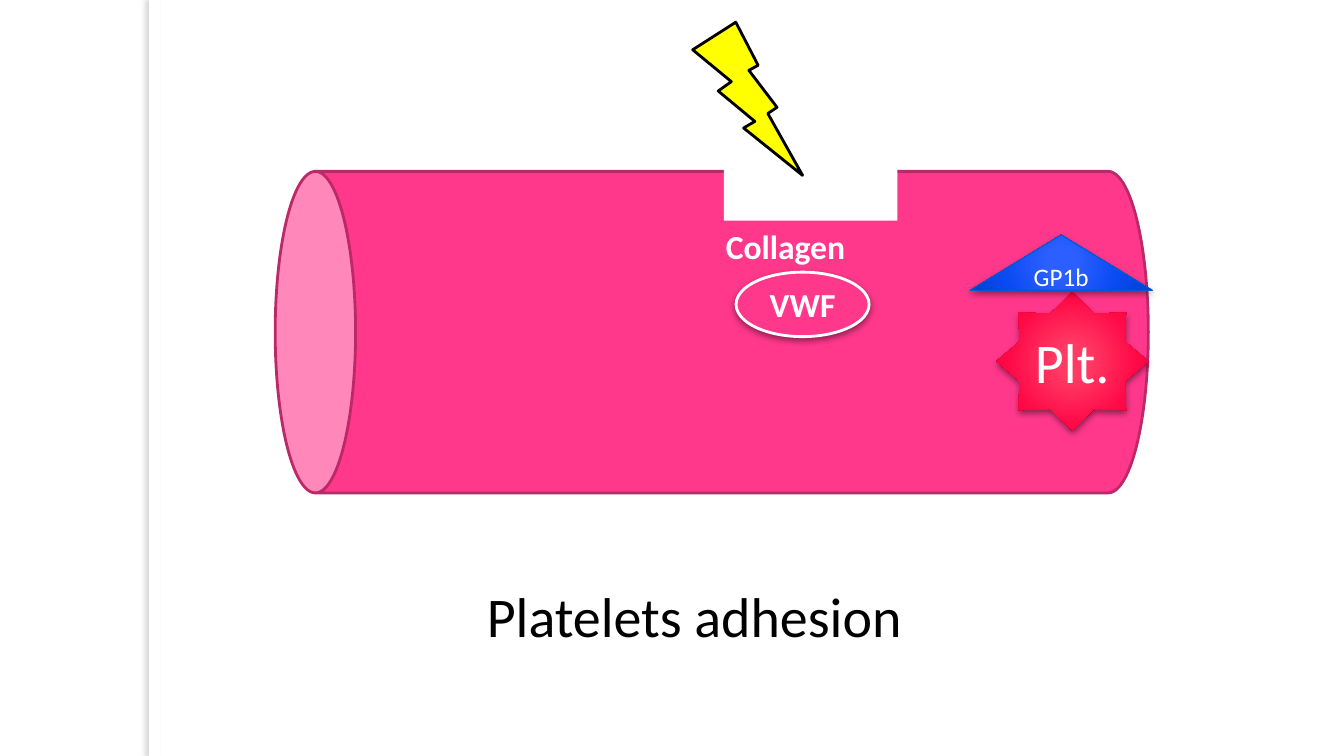
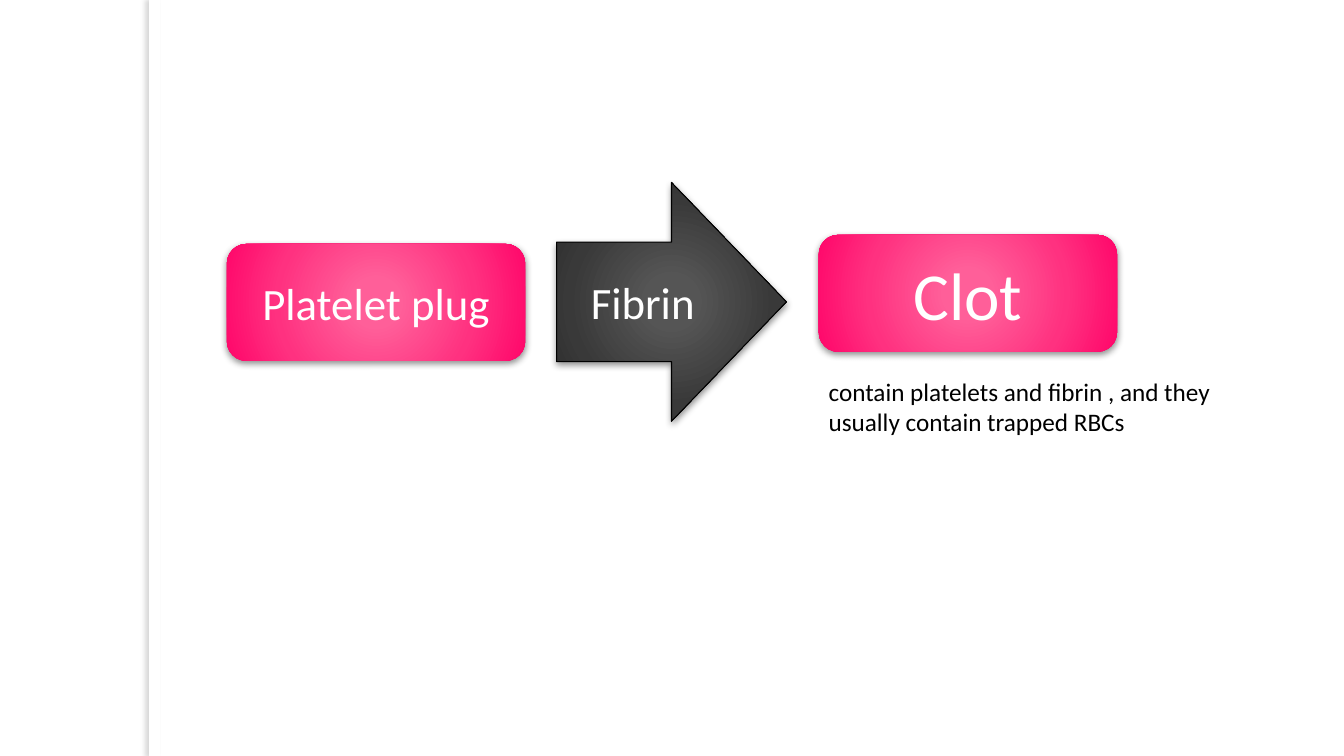
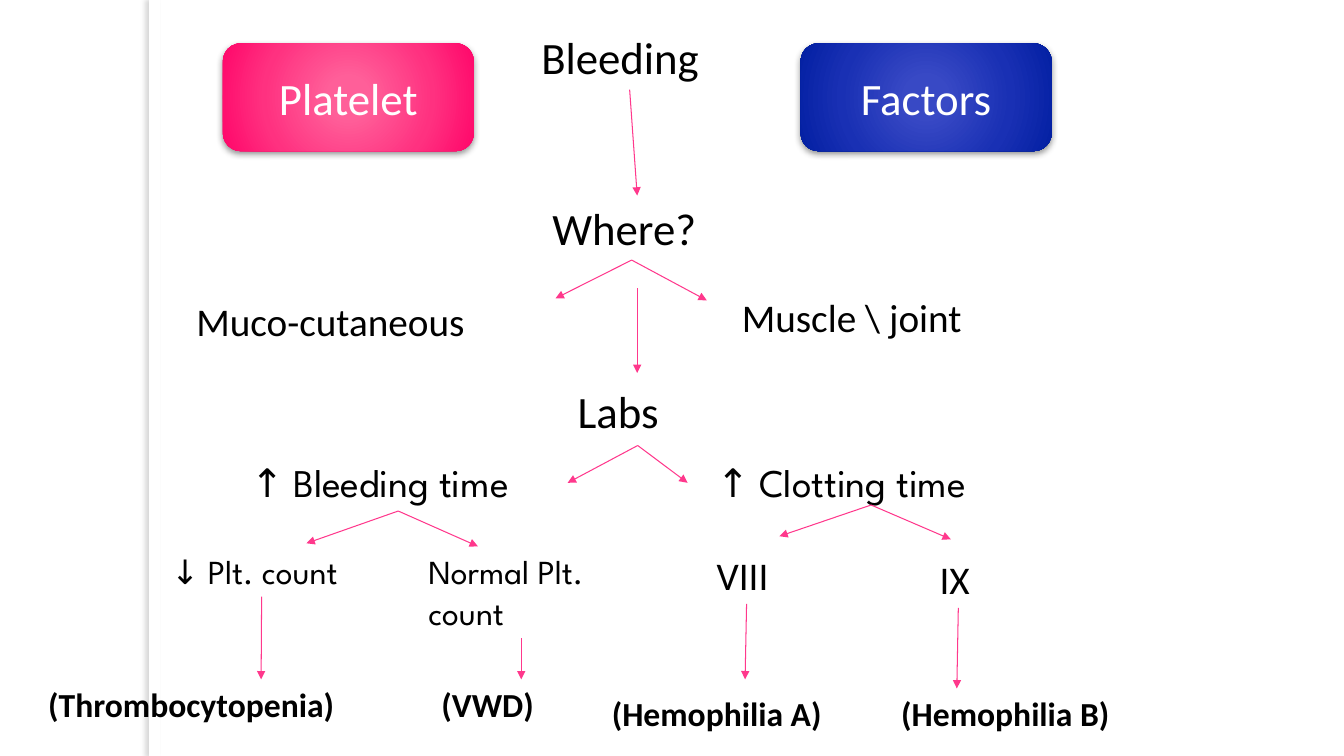
import pptx
import pptx.dml.color
import pptx.enum.shapes
import pptx.enum.text
import pptx.oxml.ns
import pptx.util
from lxml import etree

Inches = pptx.util.Inches
Kind = pptx.enum.shapes.MSO_SHAPE
Align = pptx.enum.text.PP_ALIGN
Anchor = pptx.enum.text.MSO_ANCHOR
qn = pptx.oxml.ns.qn

WHITE, BLACK, PINK = "FFFFFF", "000000", "FF388C"
BODY_FONT, LAB_FONT = "Calibri", "League Spartan"
STOPS = (0, 15, 62, 97, 100)
PINK_GLOW = ("FF619A", "FF5F99", "FF3180", "FF0A6C", "FD006B")
RED_GLOW = ("FF3C65", "FF3B64", "FF0A46", "E1003E", "B90048")
BLUE_GLOW = ("2D60FF", "2C5FFF", "094AF1", "0042D3", "004AAB")
NAVY_GLOW = ("3849C6", "3849C5", "1930B4", "0521A4", "002A80")
GRAY_GLOW = ("555555", "555555", "393939", "262626", "000000")
SOFT_SHADOW = (BLACK, 43, 5, 2, 90)
STRIP_SHADOW = ("686868", 25, 3, 3, 180)


def paint(target, color):
    """Give a fill or a font one solid colour from a hex string."""
    if hasattr(target, "solid"):
        target.solid()
        target = target.fore_color
    else:
        target = target.color
    target.rgb = pptx.dml.color.RGBColor.from_string(color)


def child(parent, tag, **attributes):
    """Append an XML element with the given attributes."""
    values = {name: str(value) for name, value in attributes.items()}
    return etree.SubElement(parent, qn(tag), values)


def glow(shape, colors):
    """Fill a shape with a gradient that spreads from its centre."""
    shape.fill.gradient()
    gradient = shape.element.spPr.find(qn("a:gradFill"))
    gradient.clear()
    gradient.set("rotWithShape", "1")
    stops = child(gradient, "a:gsLst")
    for position, color in zip(STOPS, colors):
        stop = child(stops, "a:gs", pos=position * 1000)
        child(stop, "a:srgbClr", val=color)
    circle = child(gradient, "a:path", path="circle")
    child(circle, "a:fillToRect", l=50000, t=50000, r=50000, b=50000)


def cast_shadow(shape, color, alpha, blur, distance, angle):
    """Give a shape an outer shadow."""
    effects = shape.element.spPr.find(qn("a:effectLst"))
    outer = child(effects, "a:outerShdw", blurRad=pptx.util.Pt(blur),
                  dist=pptx.util.Pt(distance), dir=angle * 60000,
                  algn="ctr", rotWithShape=0)
    tone = child(outer, "a:srgbClr", val=color)
    child(tone, "a:alpha", val=alpha * 1000)


def write(box, text, size=32, color=BLACK, bold=False, font=BODY_FONT, align=Align.LEFT):
    """Write text into a box, one paragraph for each line."""
    frame = box.text_frame
    frame.word_wrap = True
    frame.auto_size = pptx.enum.text.MSO_AUTO_SIZE.NONE
    for index, line in enumerate(text.split("\n")):
        para = frame.add_paragraph() if index else frame.paragraphs[0]
        para.alignment = align
        span = para.add_run()
        span.text = line
        span.font.size = pptx.util.Pt(size)
        span.font.bold = bold
        span.font.name = font
        paint(span.font, color)


def add_label(page, left, top, width, height, text, **style):
    """Add a text box."""
    box = page.shapes.add_textbox(*map(Inches, (left, top, width, height)))
    write(box, text, **style)
    return box


def add_figure(page, kind, left, top, width, height, fill, line=None, weight=2,
               shadow=None, text=None, **style):
    """Add a preset shape with a solid or glowing fill and centred text."""
    shape = page.shapes.add_shape(kind, *map(Inches, (left, top, width, height)))
    shape.shadow.inherit = False
    if isinstance(fill, tuple):
        glow(shape, fill)
    else:
        paint(shape.fill, fill)
    if line:
        paint(shape.line.fill, line)
        shape.line.width = pptx.util.Pt(weight)
    else:
        shape.line.fill.background()
    if shadow:
        cast_shadow(shape, *shadow)
    if text:
        shape.text_frame.vertical_anchor = Anchor.MIDDLE
        write(shape, text, color=WHITE, align=Align.CENTER, **style)
    return shape


def add_arrow(page, start, end, source=None):
    """Draw a thin pink arrow, joined to the bottom of a source box if given."""
    arrow = page.shapes.add_connector(
        pptx.enum.shapes.MSO_CONNECTOR.STRAIGHT, *map(Inches, (*start, *end)))
    if source is not None:
        arrow.begin_connect(source, 2)
    paint(arrow.line.fill, PINK)
    arrow.line.width = pptx.util.Pt(0.75)
    child(arrow.line._get_or_add_ln(), "a:tailEnd", type="triangle")
    child(arrow.element.spPr, "a:effectLst")


def add_strip(page, layout):
    """Place the shadowed strip on the layout so that all pages show it."""
    strip = add_figure(page, Kind.RECTANGLE, 1.48, 0, 0.11, 7.5, WHITE, shadow=STRIP_SHADOW)
    strip.element.nvSpPr.cNvPr.set("id", "20")
    layout.shapes.element.append(strip.element)


def draw_vessel(page, left, top, length, girth):
    """Draw a lying vessel with a damaged wall and the exposed collagen."""
    can = add_figure(page, Kind.CAN, left + (length - girth) / 2, top - (length - girth) / 2,
                     girth, length, PINK, line="BD2968")
    can.rotation = 270
    add_figure(page, Kind.RECTANGLE, left + 4.45, top - 0.27, 1.72, 0.76, WHITE)
    add_label(page, left + 4.37, top + 0.49, 1.62, 0.5, "Collagen",
              size=24, color=WHITE, bold=True)
    add_figure(page, Kind.OVAL, left + 4.57, top + 1, 1.32, 0.64, PINK, line=WHITE,
               shadow=SOFT_SHADOW, text="VWF", size=24, bold=True)
    add_figure(page, Kind.LIGHTNING_BOLT, left + 4.14, top - 1.48, 1.09, 1.52,
               "FFFF00", line=BLACK)


def draw_platelet(page, left, top):
    """Draw a platelet under its receptor."""
    add_figure(page, Kind.STAR_8_POINT, left + 0.26, top + 0.57, 1.51, 1.37, RED_GLOW,
               shadow=SOFT_SHADOW, text="Plt.", size=40)
    add_figure(page, Kind.ISOSCELES_TRIANGLE, left, top, 1.81, 0.55, BLUE_GLOW,
               line="005BD3", weight=0.75, shadow=SOFT_SHADOW, text="GP1b", size=18)


def add_card(page, left, top, width, height, text, fill=PINK_GLOW, size=32):
    """Add a rounded glowing card."""
    add_figure(page, Kind.ROUNDED_RECTANGLE, left, top, width, height, fill,
               shadow=SOFT_SHADOW, text=text, size=size)


def draw_clotting(page, left, top):
    """Show how fibrin turns a platelet plug into a clot."""
    add_card(page, left, top + 0.61, 2.96, 1.16, "Platelet plug")
    add_figure(page, Kind.RIGHT_ARROW, left + 3.27, top, 2.28, 2.37, GRAY_GLOW,
               line=BLACK, weight=0.75, shadow=SOFT_SHADOW, text="Fibrin")
    add_card(page, left + 5.87, top + 0.52, 2.96, 1.16, "Clot", size=48)
    add_label(page, left + 5.87, top + 1.87, 4.16, 0.71,
              "contain platelets and fibrin , and they usually contain trapped RBCs", size=18)


def draw_tree(page, left, top):
    """Draw the decision tree from bleeding to diagnosis."""
    question = dict(size=32)
    site = dict(size=28)
    test = dict(size=28, font=LAB_FONT)
    count = dict(size=24, font=LAB_FONT)
    diagnosis = dict(size=24, bold=True)
    nodes = (
        ("Bleeding", 4.89, 0, 1.95, 0.64, question),
        ("Where?", 5, 1.69, 1.77, 0.64, question),
        ("Muco-cutaneous", 1.47, 2.65, 3.11, 0.57, site),
        ("Muscle \\ joint", 6.88, 2.61, 2.61, 0.57, site),
        ("Labs", 5.25, 3.51, 1.39, 0.66, question),
        ("↑ Bleeding time", 2.01, 4.25, 3.12, 0.57, test),
        ("↑ Clotting time", 6.63, 4.25, 2.96, 0.57, test),
        ("↓ Plt. count", 1.22, 5.17, 1.99, 0.5, count),
        ("Normal Plt.\ncount", 3.77, 5.17, 2.04, 0.91, count),
        ("VIII", 6.63, 5.17, 0.79, 0.57, site),
        ("IX", 8.84, 5.21, 0.57, 0.57, site),
        ("(Thrombocytopenia)", 0, 6.49, 3.45, 0.5, diagnosis),
        ("(VWD)", 3.9, 6.49, 1.21, 0.5, diagnosis),
        ("(Hemophilia A)", 5.59, 6.58, 2.56, 0.5, diagnosis),
        ("(Hemophilia B)", 8.46, 6.58, 2.58, 0.5, diagnosis),
    )
    boxes = {text: add_label(page, left + x, top + y, width, height, text, **style)
             for text, x, y, width, height, style in nodes}
    joined = (
        ("Bleeding", 5.94, 1.69),
        ("Where?", 5.13, 2.71),
        ("Where?", 6.63, 2.73),
        ("Labs", 5.25, 4.54),
        ("Labs", 6.44, 4.54),
        ("↑ Bleeding time", 2.66, 5.14),
        ("↑ Bleeding time", 4.36, 5.17),
        ("↓ Plt. count", 2.21, 6.49),
        ("Normal Plt.\ncount", 4.79, 6.49),
        ("VIII", 7.01, 6.49),
        ("IX", 9.11, 6.58),
    )
    for name, x, y in joined:
        add_arrow(page, (left, top), (left + x, top + y), boxes[name])
    loose = (
        ((5.94, 2.61), (5.94, 3.45)),
        ((8.26, 4.76), (7.35, 5.07)),
        ((8.26, 4.76), (9.05, 5.1)),
    )
    for (x1, y1), (x2, y2) in loose:
        add_arrow(page, (left + x1, top + y1), (left + x2, top + y2))


def main():
    """Build the three slides and save the deck."""
    deck = pptx.Presentation()
    deck.slide_width, deck.slide_height = Inches(13.33), Inches(7.5)
    layout = deck.slide_layouts[6]
    adhesion, clotting, bleeding = (deck.slides.add_slide(layout) for _ in range(3))
    add_strip(adhesion, layout)

    draw_vessel(adhesion, 2.73, 1.7, 8.66, 3.19)
    draw_platelet(adhesion, 9.62, 2.33)
    add_label(adhesion, 4.73, 5.72, 4.79, 0.77, "Platelets adhesion", size=40)

    draw_clotting(clotting, 2.25, 1.81)

    add_card(bleeding, 2.21, 0.43, 2.49, 1.07, "Platelet")
    add_card(bleeding, 7.94, 0.43, 2.49, 1.07, "Factors", fill=NAVY_GLOW)
    draw_tree(bleeding, 0.38, 0.25)

    deck.save("out.pptx")


if __name__ == "__main__":
    main()
